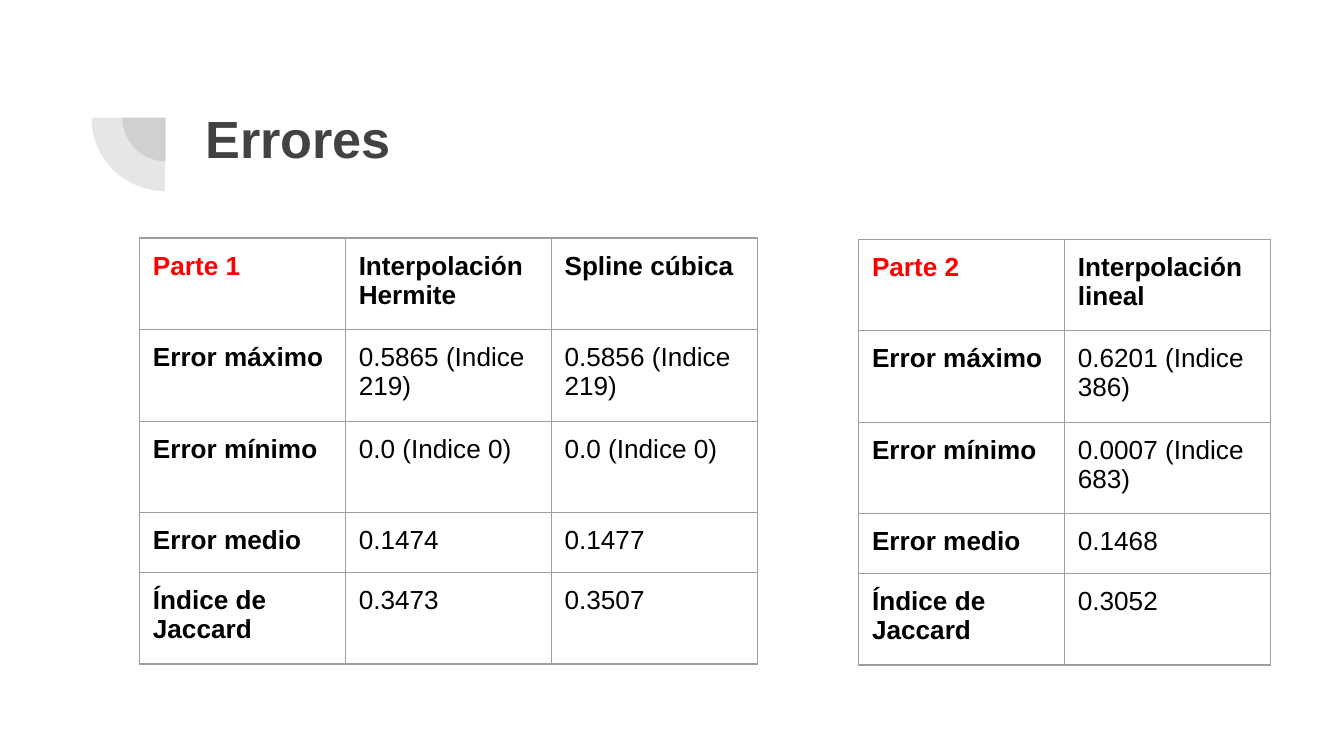
from lxml import etree
from pptx import Presentation
from pptx.dml.color import RGBColor
from pptx.enum import shapes, text
from pptx.oxml import ns
from pptx.util import Cm, Pt

COLORS = {"dark": "424242", "red": "FF0000", "black": "000000", "grid": "9E9E9E"}
PAD = Cm(0.25)
INSETS = {"margin_" + side: PAD for side in ("left", "top", "right", "bottom")}
COL = 3.89
ROWS = (1.73, 1.73, 1.73, 1.13, 1.73)
LABELS = ("Error máximo", "Error mínimo", "Error medio", "Índice de Jaccard")
TABLES = (
    (2.64, 4.5, "Parte 1", {
        "Interpolación Hermite": ("0.5865 (Indice 219)", "0.0 (Indice 0)", "0.1474", "0.3473"),
        "Spline cúbica": ("0.5856 (Indice 219)", "0.0 (Indice 0)", "0.1477", "0.3507"),
    }),
    (16.23, 4.52, "Parte 2", {
        "Interpolación lineal": ("0.6201 (Indice 386)", "0.0007 (Indice 683)", "0.1468", "0.3052"),
    }),
)


def apply(item, values):
    for name, value in values.items():
        setattr(item, name, value)


def write(frame, words, size, color, bold):
    run = frame.paragraphs[0].add_run()
    run.text = words
    apply(run.font, {"name": "Arial", "size": Pt(size), "bold": bold})
    run.font.color.rgb = RGBColor.from_string(COLORS[color])


def add_pie(slide, left, top, size):
    """Add a see-through quarter disc that fills the lower left of its box."""
    pie = slide.shapes.add_shape(
        shapes.MSO_SHAPE.PIE, Cm(left), Cm(top), Cm(size), Cm(size))
    pie.adjustments[0], pie.adjustments[1] = 108, 162
    pie.rotation = 270
    pie.shadow.inherit = False
    pie.line.fill.background()
    pie.fill.solid()
    pie.fill.fore_color.rgb = RGBColor.from_string(COLORS["dark"])
    shade = pie.fill._xPr.find(".//" + ns.qn("a:srgbClr"))
    etree.SubElement(shade, ns.qn("a:alpha"), val="13000")


def add_title(slide, words):
    box = slide.shapes.add_textbox(Cm(3.63), Cm(1.75), Cm(19.53), Cm(2.77))
    frame = box.text_frame
    apply(frame, {"word_wrap": True, "vertical_anchor": text.MSO_ANCHOR.TOP, **INSETS})
    write(frame, words, 28, "dark", True)


def add_edges(cell):
    props = cell._tc.get_or_add_tcPr()
    for side in "LRTB":
        edge = etree.SubElement(props, ns.qn("a:ln" + side), w=str(Pt(0.75)))
        fill = etree.SubElement(edge, ns.qn("a:solidFill"))
        etree.SubElement(fill, ns.qn("a:srgbClr"), val=COLORS["grid"])


def add_grid(slide, left, top, part, data):
    """Add a table with row labels and one column for each method in data."""
    cols = [(part, *LABELS)] + [(head, *vals) for head, vals in data.items()]
    table = slide.shapes.add_table(
        len(ROWS), len(cols), Cm(left), Cm(top),
        Cm(COL * len(cols)), Cm(sum(ROWS))).table
    apply(table, {"first_row": False, "horz_banding": False})
    for row, height in zip(table.rows, ROWS):
        row.height = Cm(height)
    for x, col in enumerate(cols):
        table.columns[x].width = Cm(COL)
        for y, words in enumerate(col):
            cell = table.cell(y, x)
            apply(cell, INSETS)
            add_edges(cell)
            cell.fill.background()
            color = "red" if x == y == 0 else "black"
            write(cell.text_frame, words, 14, color, x == 0 or y == 0)


def main():
    deck = Presentation()
    apply(deck, {"slide_width": Cm(25.4), "slide_height": Cm(14.29)})
    slide = deck.slides.add_slide(deck.slide_layouts[6])
    add_pie(slide, 2.31, 1.4, 1.65)
    add_pie(slide, 1.73, 0.84, 2.77)
    add_title(slide, "Errores")
    for spec in TABLES:
        add_grid(slide, *spec)
    deck.save("out.pptx")


if __name__ == "__main__":
    main()
